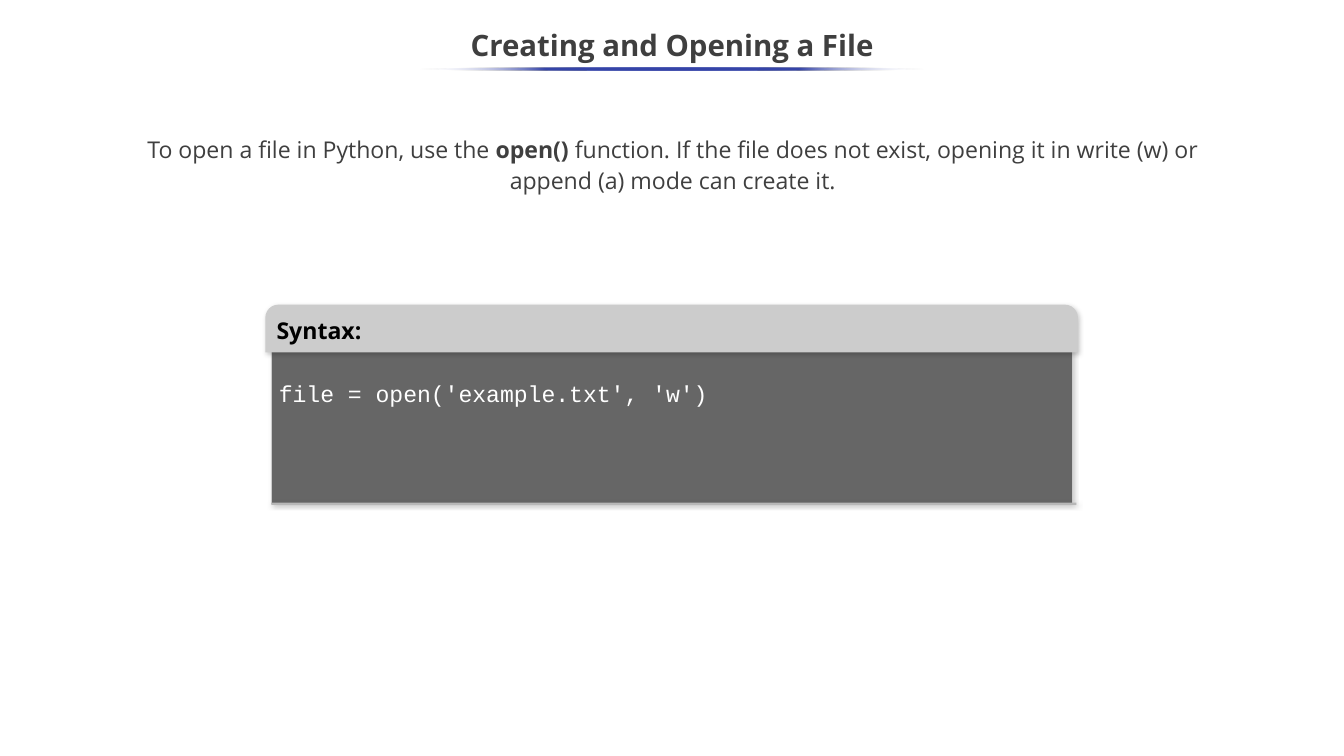
from dataclasses import dataclass

from lxml import etree
from pptx import Presentation
from pptx.dml.color import RGBColor
from pptx.enum.shapes import MSO_SHAPE
from pptx.enum.text import MSO_ANCHOR, MSO_AUTO_SIZE, PP_ALIGN
from pptx.oxml import parse_xml
from pptx.oxml.ns import nsdecls, qn
from pptx.util import Inches, Pt

RECTANGLE = MSO_SHAPE.RECTANGLE
ROUND_TOP = MSO_SHAPE.ROUND_2_SAME_RECTANGLE
ELLIPSE = MSO_SHAPE.OVAL
CENTER, LEFT = PP_ALIGN.CENTER, PP_ALIGN.LEFT
TOP, MIDDLE, BOTTOM = MSO_ANCHOR.TOP, MSO_ANCHOR.MIDDLE, MSO_ANCHOR.BOTTOM


@dataclass(frozen=True)
class Theme:
    font: str = "Open Sans"
    code_font: str = "Courier New"
    title_size: int = 28
    text_size: int = 22
    text: str = "3F3F3F"
    accent: str = "3645A9"
    paper: str = "FFFFFF"
    header: str = "CCCCCC"
    header_text: str = "000000"
    code_panel: str = "666666"
    code_text: str = "FFFFFF"
    footer: str = "B7B7B7"
    shadow: str = "000000"


THEME = Theme()


def place(shape, box):
    for name, value in zip(("left", "top", "width", "height"), box):
        setattr(shape, name, Inches(value))


def write(shape, runs, font, margins=(0.1, 0.05), anchor=MIDDLE, align=CENTER, spacing=1.0):
    """Fill the shape with one paragraph; runs are (text, bold) pairs."""
    across, down = (Inches(margin) for margin in margins)
    frame = shape.text_frame
    frame_format = {
        "word_wrap": True, "auto_size": MSO_AUTO_SIZE.NONE, "vertical_anchor": anchor,
        "margin_left": across, "margin_right": across, "margin_top": down, "margin_bottom": down,
    }
    for name, value in frame_format.items():
        setattr(frame, name, value)
    paragraph = frame.paragraphs[0]
    paragraph_format = {"alignment": align, "line_spacing": spacing, "space_before": Pt(0)}
    for name, value in paragraph_format.items():
        setattr(paragraph, name, value)
    typeface, size, color = font
    for text, bold in runs:
        run = paragraph.add_run()
        run.text = text
        for name, value in {"name": typeface, "size": Pt(size), "bold": bold}.items():
            setattr(run.font, name, value)
        run.font.color.rgb = RGBColor.from_string(color)
    return paragraph


def add_block(shapes, kind, box, color):
    shape = shapes.add_shape(kind, *(Inches(value) for value in box))
    shape.shadow.inherit = False
    shape.fill.solid()
    shape.fill.fore_color.rgb = RGBColor.from_string(color)
    shape.line.fill.background()
    return shape


def cast_shadow(shape):
    effects = shape._element.spPr.find(qn("a:effectLst"))
    effects.append(parse_xml(
        f'<a:outerShdw {nsdecls("a")} blurRad="{Pt(4.5)}" dist="{Pt(1.5)}" dir="{47 * 60000}"'
        f' algn="bl" rotWithShape="0"><a:srgbClr val="{THEME.shadow}">'
        '<a:alpha val="20000"/></a:srgbClr></a:outerShdw>'))


def fade_ends(shape):
    """Give the shape an accent gradient that is transparent at both ends."""
    fill = parse_xml(f'<a:gradFill {nsdecls("a")} rotWithShape="1"><a:gsLst/>'
                     f'<a:lin ang="{180 * 60000}" scaled="0"/></a:gradFill>')
    for position in range(0, 101, 25):
        at_end = position in (0, 100)
        stop = etree.SubElement(fill[0], qn("a:gs"), pos=str(position * 1000))
        color = etree.SubElement(stop, qn("a:srgbClr"), val=THEME.paper if at_end else THEME.accent)
        if at_end:
            etree.SubElement(color, qn("a:alpha"), val="0")
    properties = shape._element.spPr
    properties.replace(properties.find(qn("a:solidFill")), fill)


def add_title(slide, box, text):
    title = slide.shapes.title
    place(title, box)
    write(title, [(text, True)], (THEME.font, THEME.title_size, THEME.text), spacing=0.9)
    left, top, width, _ = box
    rule_width = 6.67
    rule_box = (left + (width - rule_width) / 2, top + 0.64, rule_width, 0.04)
    fade_ends(add_block(slide.shapes, ELLIPSE, rule_box, THEME.accent))


def add_explanation(slide, box, runs):
    body = slide.placeholders[1]
    place(body, box)
    paragraph = write(body, runs, (THEME.font, THEME.text_size, THEME.text),
                      margins=(0.1, 0), anchor=TOP, spacing=1.15)
    properties = paragraph._p.get_or_add_pPr()
    properties.set("marL", "0")
    properties.set("indent", "0")
    etree.SubElement(properties, qn("a:buNone"))


def add_code_panel(slide, box, heading, code):
    left, top, width, height = box
    inner_left, inner_width = left + 0.08, width - 0.15
    shapes = slide.shapes.add_group_shape().shapes

    panel = add_block(shapes, RECTANGLE, (inner_left, top + 0.19, inner_width, height - 0.21),
                      THEME.code_panel)
    panel.line.color.rgb = RGBColor.from_string(THEME.header)
    panel.line.width = Pt(0.75)
    header = add_block(shapes, ROUND_TOP, (left, top, width, 0.63), THEME.header)
    header.adjustments[0] = 0.275
    header.adjustments[1] = 0
    footer = add_block(shapes, RECTANGLE, (inner_left, top + height - 0.03, width - 0.1, 0.03),
                       THEME.footer)
    for shape in (panel, header, footer):
        cast_shadow(shape)
    write(header, [(heading, True)], (THEME.font, THEME.text_size, THEME.header_text),
          margins=(0.1, 0.1), align=LEFT)

    code_box = (inner_left, top + 0.32, inner_width, 1.09)
    text_box = shapes.add_textbox(*(Inches(value) for value in code_box))
    write(text_box, [(code, False)], (THEME.code_font, THEME.text_size, THEME.code_text),
          anchor=BOTTOM, align=LEFT, spacing=1.14)


def main():
    presentation = Presentation()
    presentation.slide_width = Inches(17.78)
    presentation.slide_height = Inches(10)
    slide = presentation.slides.add_slide(presentation.slide_layouts[1])
    add_explanation(slide, (1.41, 1.73, 14.98, 0.99), [
        ("To open a file in Python, use the ", False),
        ("open()", True),
        (" function. If the file does not exist, opening it in write (w) or "
         "append (a) mode can create it.", False),
    ])
    add_title(slide, (0, 0.25, 17.78, 0.75), "Creating and Opening a File")
    add_code_panel(slide, (3.51, 4.03, 10.75, 2.65), "Syntax:", "file = open('example.txt', 'w')")
    presentation.save("out.pptx")


if __name__ == "__main__":
    main()
